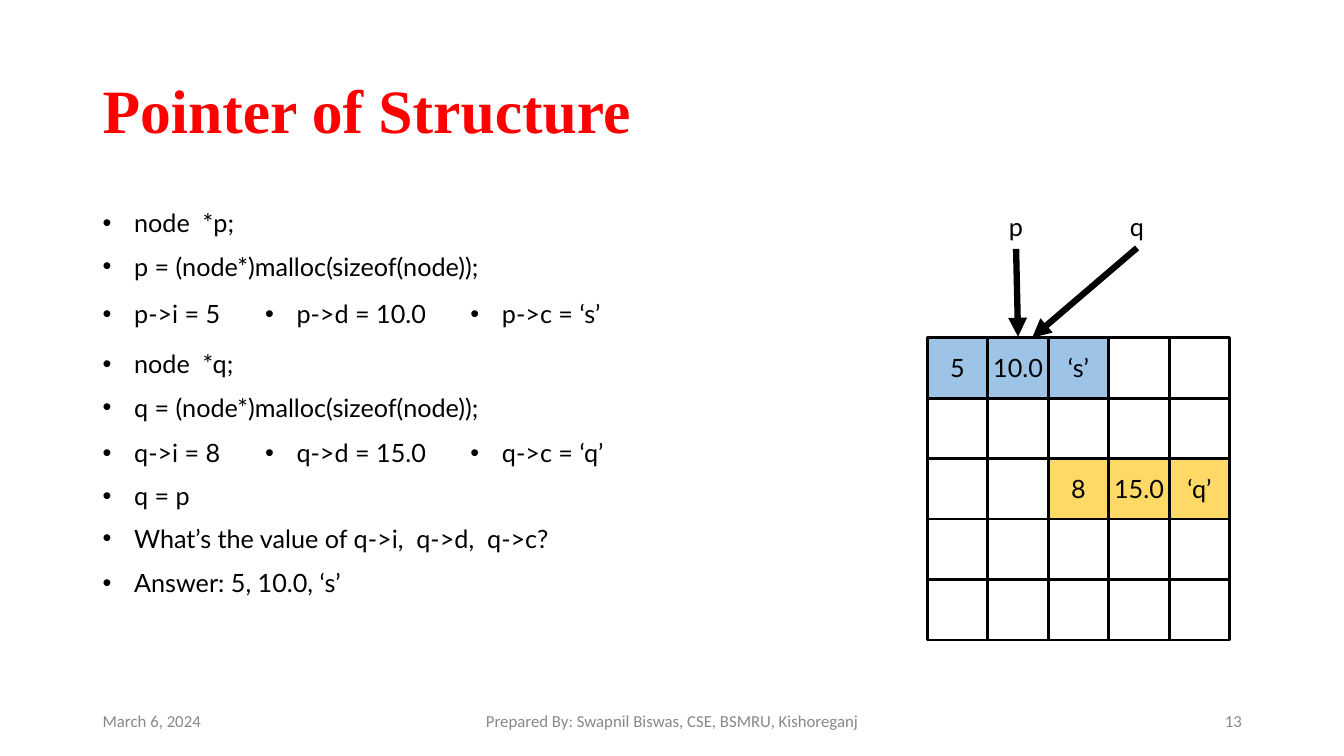
from dataclasses import dataclass

import lxml.etree
import pptx
import pptx.dml.color
import pptx.enum.shapes
import pptx.enum.text
import pptx.oxml.ns
import pptx.shapes.autoshape
import pptx.shapes.connector
import pptx.slide
import pptx.util

Pt = pptx.util.Pt
RGBColor = pptx.dml.color.RGBColor
Align = pptx.enum.text.PP_ALIGN
Anchor = pptx.enum.text.MSO_ANCHOR
qn = pptx.oxml.ns.qn

BLACK = RGBColor(0, 0, 0)
RED = RGBColor(0xFF, 0, 0)
GREY = RGBColor(0x88, 0x88, 0x88)
BLUE = RGBColor(0x9D, 0xC3, 0xE6)
GOLD = RGBColor(0xFF, 0xD9, 0x66)

LEFT = 66.24
INDENT = 22.5
LINE = 28.8
GRID_X, GRID_Y = 662.4, 241.2
CELL = 43.2
COUNT = 5


@dataclass(frozen=True)
class Style:
    font: str
    size: float
    color: RGBColor
    bold: bool = False


@dataclass(frozen=True)
class Label:
    text: str
    x: float
    y: float
    w: float
    h: float
    style: Style
    align: Align = Align.LEFT
    anchor: Anchor = Anchor.TOP
    bullet: bool = False
    space: float = 1.0


@dataclass(frozen=True)
class Arrow:
    x1: float
    y1: float
    x2: float
    y2: float


@dataclass(frozen=True)
class Value:
    text: str
    fill: RGBColor


TITLE = Style("Times New Roman", 44, RED, True)
BODY = Style("Lato", 18, BLACK)
FOOT = Style("Calibri", 12, GREY)

COLUMNS = ((LEFT, 140), (182.2, 135), (329, 125))
ROWS = (
    (144.7, ("node  *p;",)),
    (175.7, ("p = (node*)malloc(sizeof(node));",)),
    (209.5, ("p->i = 5", "p->d = 10.0", "p->c = ‘s’")),
    (245.5, ("node  *q;",)),
    (276.5, ("q = (node*)malloc(sizeof(node));",)),
    (308.9, ("q->i = 8", "q->d = 15.0", "q->c = ‘q’")),
    (339.8, ("q = p",)),
    (370.1, ("What’s the value of q->i,  q->d,  q->c?",)),
    (401.8, ("Answer: 5, 10.0, ‘s’",)),
)
LABELS = (
    Label("Pointer of Structure", LEFT, 28.8, 828, 104.4, TITLE,
          anchor=Anchor.MIDDLE, space=0.9),
    Label("March 6, 2024", LEFT, 500.4, 216, LINE, FOOT, anchor=Anchor.MIDDLE),
    Label("Prepared By: Swapnil Biswas, CSE, BSMRU, Kishoreganj",
          318.24, 500.4, 324, LINE, FOOT, Align.CENTER, Anchor.MIDDLE),
    Label("13", 678.24, 500.4, 216, LINE, FOOT, Align.RIGHT, Anchor.MIDDLE),
    Label("p", 713.5, 147.6, 24.5, LINE, BODY),
    Label("q", 800, 147.6, 24, LINE, BODY),
)
ARROWS = (Arrow(725.8, 177.8, 727.2, 240.5), Arrow(812.2, 177.1, 737.3, 241.2))
VALUES = {
    (0, 0): Value("5", BLUE),
    (0, 1): Value("10.0", BLUE),
    (0, 2): Value("‘s’", BLUE),
    (2, 2): Value("8", GOLD),
    (2, 3): Value("15.0", GOLD),
    (2, 4): Value("‘q’", GOLD),
}


def write(shape: pptx.shapes.autoshape.Shape, text: str, style: Style) -> None:
    run = shape.text_frame.paragraphs[0].add_run()
    run.text = text
    run.font.name = style.font
    run.font.size = Pt(style.size)
    run.font.bold = style.bold
    run.font.color.rgb = style.color


def add_bullet(shape: pptx.shapes.autoshape.Shape) -> None:
    props = shape.text_frame.paragraphs[0]._p.get_or_add_pPr()
    props.set("marL", str(Pt(INDENT)))
    props.set("indent", str(-Pt(INDENT)))
    lxml.etree.SubElement(props, qn("a:buFont"), typeface="Arial")
    lxml.etree.SubElement(props, qn("a:buChar"), char="•")


def add_label(slide: pptx.slide.Slide, label: Label) -> None:
    box = slide.shapes.add_textbox(
        Pt(label.x), Pt(label.y), Pt(label.w), Pt(label.h))
    box.text_frame.word_wrap = True
    box.text_frame.vertical_anchor = label.anchor
    para = box.text_frame.paragraphs[0]
    para.alignment = label.align
    para.line_spacing = label.space
    if label.bullet:
        add_bullet(box)
    write(box, label.text, label.style)


def add_cell(slide: pptx.slide.Slide, row: int, col: int) -> None:
    cell = slide.shapes.add_shape(
        pptx.enum.shapes.MSO_SHAPE.RECTANGLE,
        Pt(GRID_X + col * CELL), Pt(GRID_Y + row * CELL), Pt(CELL), Pt(CELL))
    cell.shadow.inherit = False
    cell.line.color.rgb = BLACK
    cell.line.width = Pt(2)
    value = VALUES.get((row, col))
    if value is None:
        cell.fill.background()
        return
    cell.fill.solid()
    cell.fill.fore_color.rgb = value.fill
    frame = cell.text_frame
    frame.margin_left = frame.margin_right = Pt(0)
    frame.word_wrap = False
    frame.vertical_anchor = Anchor.MIDDLE
    frame.paragraphs[0].alignment = Align.CENTER
    write(cell, value.text, BODY)


def add_arrow(slide: pptx.slide.Slide, arrow: Arrow) -> None:
    line = slide.shapes.add_connector(
        pptx.enum.shapes.MSO_CONNECTOR.STRAIGHT,
        Pt(arrow.x1), Pt(arrow.y1), Pt(arrow.x2), Pt(arrow.y2))
    line.line.color.rgb = BLACK
    line.line.width = Pt(4.5)
    lxml.etree.SubElement(
        line.line._get_or_add_ln(), qn("a:tailEnd"), type="triangle")
    lxml.etree.SubElement(line._element.spPr, qn("a:effectLst"))


def main() -> None:
    deck = pptx.Presentation()
    deck.slide_width, deck.slide_height = Pt(960), Pt(540)
    slide = deck.slides.add_slide(deck.slide_layouts[6])
    for label in LABELS:
        add_label(slide, label)
    for top, parts in ROWS:
        for (left, width), text in zip(COLUMNS, parts):
            wide = width if len(parts) > 1 else 440
            add_label(slide, Label(text, left, top, wide, LINE, BODY, bullet=True))
    for row in range(COUNT):
        for col in range(COUNT):
            add_cell(slide, row, col)
    for arrow in ARROWS:
        add_arrow(slide, arrow)
    deck.save("out.pptx")


if __name__ == "__main__":
    main()
